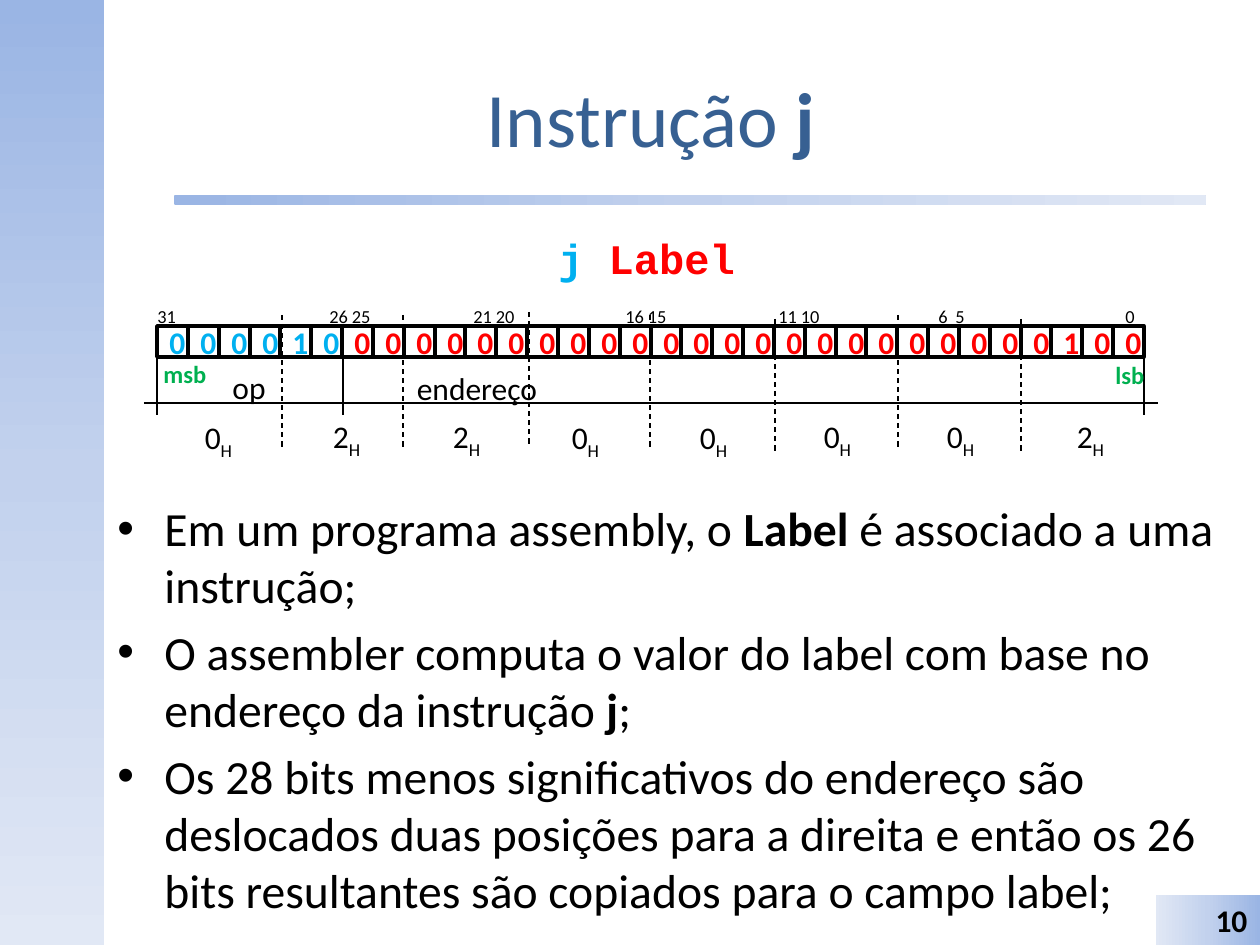
from copy import deepcopy

from lxml.etree import SubElement
from pptx import Presentation
from pptx.dml.color import RGBColor
from pptx.enum.dml import MSO_LINE
from pptx.enum.shapes import MSO_CONNECTOR, MSO_SHAPE
from pptx.enum.text import MSO_ANCHOR, MSO_AUTO_SIZE, PP_ALIGN
from pptx.oxml.ns import qn
from pptx.util import Pt

PX = 914400 // 126
BLACK = RGBColor(0, 0, 0)
WHITE = RGBColor(255, 255, 255)
TITLE = RGBColor(0x37, 0x60, 0x92)
CYAN = RGBColor(0, 0xB0, 0xF0)
RED = RGBColor(255, 0, 0)
GREEN = RGBColor(0, 0xB0, 0x50)
FADE = (RGBColor(0x9A, 0xB5, 0xE4), RGBColor(0xC2, 0xD1, 0xED), RGBColor(0xE1, 0xE8, 0xF5))

LEFT, RIGHT, BITS_TOP = 157, 1144, 326
WORD = "00001000000000000000000000000100"
OP_BITS = 6
INDEXES = "31\t26 25\t21 20\t16 15\t11 10\t6\t5\t0"
INDEX_TABS = (172, 316, 468, 621, 781, 798, 968)
NIBBLE_LINES = ((282, 315), (403, 315), (529, 312), (650, 315), (775, 319), (898, 315), (1021, 319))
NIBBLES = (("0", 154, 412), ("2", 282, 411), ("2", 402, 411), ("0", 521, 412),
           ("0", 649, 412), ("0", 773, 411), ("0", 896, 411), ("2", 1026, 411))
BULLETS = (
    (("Em um programa assembly, o ", False), ("Label", True),
     (" é associado a uma instrução;", False)),
    (("O assembler computa o valor do label com base no endereço da instrução ", False),
     ("j", True), (";", False)),
    (("Os 28 bits menos significativos do endereço são deslocados duas posições para a "
      "direita e então os 26 bits resultantes são copiados para o campo label;", False),),
)


def px(*values):
    return [v * PX for v in values]


def add_run(p, text, size, color=BLACK, bold=False, font="Calibri"):
    r = p.add_run()
    r.text = text
    r.font.size, r.font.bold, r.font.name = Pt(size), bold, font
    r.font.color.rgb = color
    return r


def add_text(s, box, align=PP_ALIGN.LEFT, wrap=True, grow=True):
    tf = s.shapes.add_textbox(*px(*box)).text_frame
    tf.word_wrap = wrap
    tf.auto_size = MSO_AUTO_SIZE.SHAPE_TO_FIT_TEXT if grow else MSO_AUTO_SIZE.NONE
    tf.paragraphs[0].alignment = align
    return tf


def add_label(s, box, text, size, color=BLACK, bold=False, align=PP_ALIGN.CENTER, wrap=True):
    p = add_text(s, box, align, wrap).paragraphs[0]
    add_run(p, text, size, color, bold)
    return p


def add_box(s, box, kind=MSO_SHAPE.RECTANGLE):
    sp = s.shapes.add_shape(kind, *px(*box))
    sp.shadow.inherit = False
    sp.line.fill.background()
    return sp


def add_fade(s, box, angle, kind=MSO_SHAPE.RECTANGLE):
    sp = add_box(s, box, kind)
    sp.fill.gradient()
    sp.fill.gradient_angle = angle
    stops = next(sp._element.iter(qn("a:gsLst")))
    stops.insert(1, deepcopy(stops[0]))
    for i, stop in enumerate(sp.fill.gradient_stops):
        stop.position = i / 2
        stop.color.rgb = FADE[i]
    return sp


def add_line(s, x1, y1, x2, y2, dashed=False):
    line = s.shapes.add_connector(MSO_CONNECTOR.STRAIGHT, *px(x1, y1, x2, y2))
    line.line.color.rgb = BLACK
    line.line.width = Pt(0.75)
    if dashed:
        line.line.dash_style = MSO_LINE.DASH
    SubElement(line._element.spPr, qn("a:effectLst"))


def add_bits(s):
    pitch = (RIGHT - LEFT) / len(WORD)
    for i, bit in enumerate(WORD):
        sp = add_box(s, (LEFT + round(i * pitch), BITS_TOP, 31, 31))
        sp.fill.solid()
        sp.fill.fore_color.rgb = WHITE
        sp.line.color.rgb = BLACK
        sp.line.width = Pt(2)
        tf = sp.text_frame
        tf.word_wrap = True
        tf.vertical_anchor = MSO_ANCHOR.MIDDLE
        p = tf.paragraphs[0]
        p.alignment = PP_ALIGN.CENTER
        add_run(p, bit, 18, CYAN if i < OP_BITS else RED, True)


def add_indexes(s):
    p = add_label(s, (145, 299, 1026, 35), INDEXES, 10.5, align=PP_ALIGN.LEFT)
    tabs = SubElement(p._p.get_or_add_pPr(), qn("a:tabLst"))
    for x in INDEX_TABS:
        SubElement(tabs, qn("a:tab"), pos=str(x * PX), algn="l")


def add_bullets(s):
    tf = add_text(s, (105, 493, 1142, 436), grow=False)
    for i, runs in enumerate(BULLETS):
        p = tf.add_paragraph() if i else tf.paragraphs[0]
        p.space_before = Pt(5.4)
        pPr = p._p.get_or_add_pPr()
        pPr.set("marL", str(47 * PX))
        pPr.set("indent", str(-47 * PX))
        SubElement(pPr, qn("a:buFont"), typeface="Arial")
        SubElement(pPr, qn("a:buChar"), char="•")
        for text, bold in runs:
            add_run(p, text, 27.2, bold=bold)


def main():
    """Build the slide about the j instruction."""
    prs = Presentation()
    prs.slide_width, prs.slide_height = px(1260, 945)
    s = prs.slides.add_slide(prs.slide_layouts[6])

    add_fade(s, (0, 0, 104, 945), 270)
    add_fade(s, (174, 195, 1032, 10), 0, MSO_SHAPE.ROUNDED_RECTANGLE)
    title = add_text(s, (105, 38, 1092, 157), PP_ALIGN.CENTER, grow=False)
    title.vertical_anchor = MSO_ANCHOR.MIDDLE
    add_run(title.paragraphs[0], "Instrução ", 44, TITLE)
    add_run(title.paragraphs[0], "j", 44, TITLE, True)
    add_bullets(s)
    tf = add_fade(s, (1156, 895, 104, 50), 180).text_frame
    tf.vertical_anchor = MSO_ANCHOR.TOP
    tf.paragraphs[0].alignment = PP_ALIGN.RIGHT
    add_run(tf.paragraphs[0], "10", 18, bold=True)

    add_bits(s)
    add_line(s, 144, 403, 1158, 403)
    for x in (LEFT, 343, RIGHT):
        add_line(s, x, 343, x, 415)
    add_label(s, (156, 362, 186, 45), "op", 18)
    add_label(s, (384, 363, 186, 50), "endereço", 18)
    add_label(s, (151, 353, 69, 43), "msb", 14, GREEN, True, PP_ALIGN.LEFT, False)
    add_label(s, (1103, 354, 55, 43), "lsb", 14, GREEN, True, PP_ALIGN.LEFT, False)
    add_indexes(s)
    for x, y in NIBBLE_LINES:
        add_line(s, x, y, x, y + 132, True)
    p = add_text(s, (546, 226, 203, 63), wrap=False).paragraphs[0]
    add_run(p, "j ", 24, CYAN, True, "Courier New")
    add_run(p, "Label", 24, RED, True, "Courier New")
    for digit, x, y in NIBBLES:
        p = add_label(s, (x, y, 129, 50), digit, 18)
        add_run(p, "H", 18).font._element.set("baseline", "-25000")

    prs.save("out.pptx")


main()
